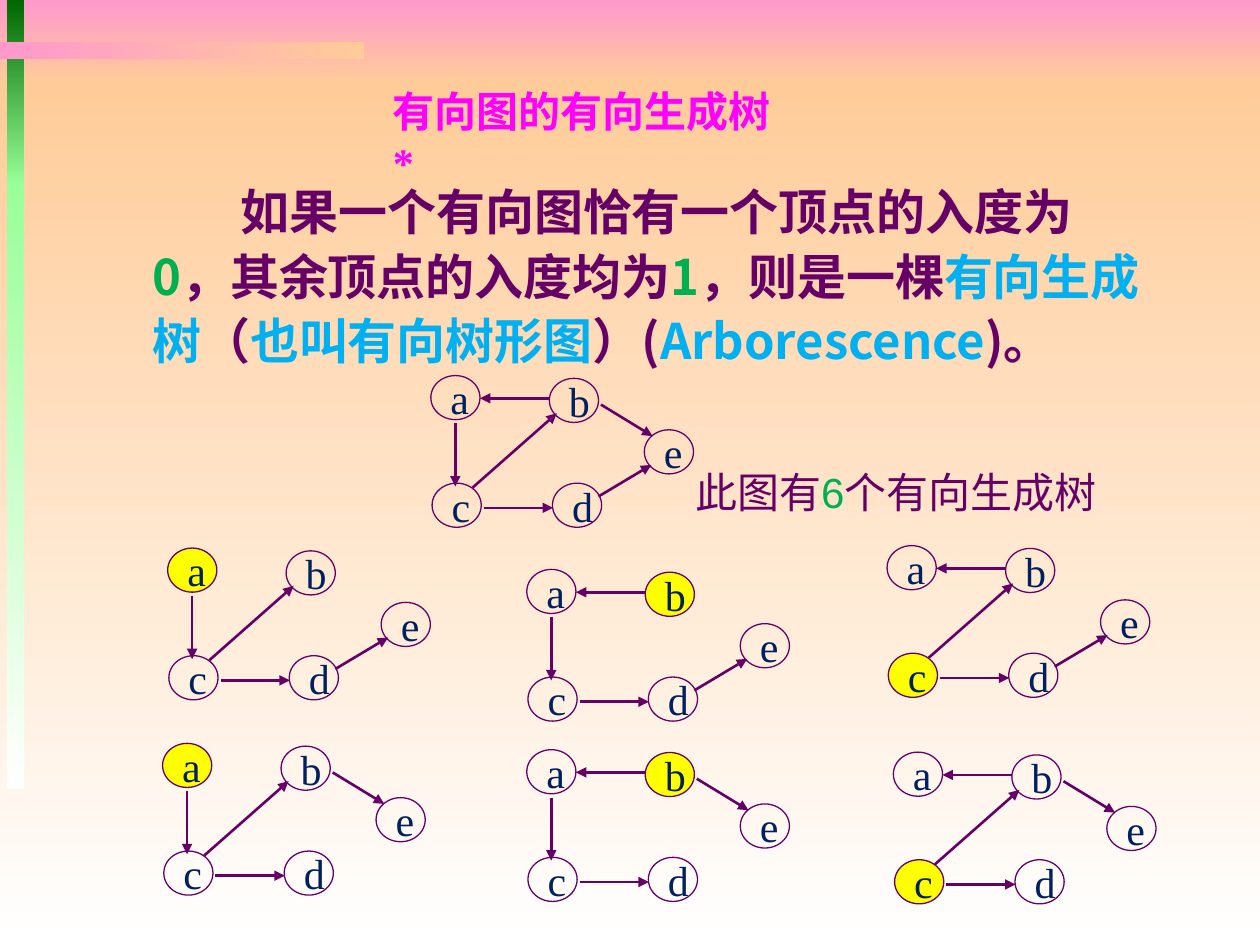
"""Build a slide on the spanning arborescences of a directed graph."""
from lxml import etree
from pptx import Presentation
from pptx.dml.color import RGBColor
from pptx.enum.shapes import MSO_CONNECTOR, MSO_SHAPE
from pptx.enum.text import MSO_ANCHOR, PP_ALIGN
from pptx.oxml.ns import qn
from pptx.util import Pt

RECTANGLE = MSO_SHAPE.RECTANGLE
OVAL = MSO_SHAPE.OVAL
STRAIGHT = MSO_CONNECTOR.STRAIGHT
MIDDLE = MSO_ANCHOR.MIDDLE
LEFT = PP_ALIGN.LEFT

PINK = RGBColor(0xFF, 0x99, 0xCC)
PEACH = RGBColor(0xFF, 0xCC, 0x99)
WHITE = RGBColor(0xFF, 0xFF, 0xFF)
DARK_GREEN = RGBColor(0x00, 0x66, 0x00)
LIGHT_GREEN = RGBColor(0x99, 0xFF, 0x99)
PURPLE = RGBColor(0x66, 0x00, 0x66)
MAGENTA = RGBColor(0xFF, 0x00, 0xFF)
NAVY = RGBColor(0x00, 0x20, 0x60)
GREEN = RGBColor(0x00, 0xB0, 0x50)
SKY = RGBColor(0x00, 0xB0, 0xF0)
YELLOW = RGBColor(0xFF, 0xFF, 0x00)

SERIF = "Times New Roman"
SANS = "Arial"
CJK = "Noto Sans CJK SC"

DOWN, ACROSS = 270, 0
NODE_WIDTH, NODE_HEIGHT = 28.1, 25.2
NODES = {"a": (0, 0), "b": (67.7, 1.6), "c": (0.7, 61.5), "d": (69.5, 61.5), "e": (122, 31)}
EDGES = {
    "ac": (14, 27.4, 14, 63.4),
    "ba": (67.7, 13, 28.1, 13),
    "cd": (30.2, 75.6, 69.8, 75.6),
    "cb": (23.8, 64.1, 72, 21.6),
    "de": (95.8, 69.1, 126, 51.1),
    "be": (97.2, 16.6, 126.7, 34.6),
}
TREES = [
    (95.8, 313.2, "a", ("ac", "cd", "cb", "de")),
    (92.9, 424.8, "a", ("ac", "cd", "cb", "be")),
    (301, 325.4, "b", ("ac", "ba", "cd", "de")),
    (301, 428.4, "b", ("ac", "ba", "cd", "be")),
    (506.9, 311.8, "c", ("ba", "cd", "cb", "de")),
    (510.5, 429.8, "c", ("ba", "cd", "cb", "be")),
]
BANDS = [
    (0, 0, 720, 48, PINK, PEACH, DOWN),
    (0, 48, 720, 492, PEACH, WHITE, DOWN),
    (4, 0, 10, 106, DARK_GREEN, LIGHT_GREEN, DOWN),
    (4, 105, 10, 346, LIGHT_GREEN, WHITE, DOWN),
    (0, 24, 208, 10, PINK, PEACH, ACROSS),
]
DEFINITION = [
    ("如果一个有向图恰有一个顶点的入度为", PURPLE),
    ("0", GREEN),
    ("，其余顶点的入度均为", PURPLE),
    ("1", GREEN),
    ("，则是一棵", PURPLE),
    ("有向生成树", SKY),
    ("（", PURPLE),
    ("也叫有向树形图", SKY),
    ("）(", PURPLE),
    ("Arborescence", SKY),
    (")。", PURPLE),
]


class GraphSlide:
    """Holds the slide and draws its elements in one style."""

    def __init__(self, slide):
        self.shapes = slide.shapes

    def band(self, left, top, width, height, start, end, angle):
        """Add a rectangle with a two-colour gradient."""
        band = self.shapes.add_shape(RECTANGLE, Pt(left), Pt(top), Pt(width), Pt(height))
        band.shadow.inherit = False
        band.line.fill.background()
        band.fill.gradient()
        band.fill.gradient_angle = angle
        for stop, color in zip(band.fill.gradient_stops, (start, end)):
            stop.color.rgb = color

    def style(self, run, font, size, color, bold=False):
        """Format one run."""
        run.font.name = font
        run.font.size = Pt(size)
        run.font.color.rgb = color
        run.font.bold = bold

    def text(self, left, top, width, height, pieces, font, size, bold=False):
        """Add a wrapping text box of coloured pieces and return its frame."""
        box = self.shapes.add_textbox(Pt(left), Pt(top), Pt(width), Pt(height))
        frame = box.text_frame
        frame.word_wrap = True
        for words, color in pieces:
            run = frame.paragraphs[0].add_run()
            run.text = words
            self.style(run, font, size, color, bold)
        return frame

    def node(self, left, top, label, is_root):
        """Add a labelled vertex, filled if it is the root."""
        node = self.shapes.add_shape(OVAL, Pt(left), Pt(top), Pt(NODE_WIDTH), Pt(NODE_HEIGHT))
        node.shadow.inherit = False
        node.line.color.rgb = PURPLE
        node.line.width = Pt(0.75)
        if is_root:
            node.fill.solid()
            node.fill.fore_color.rgb = YELLOW
        else:
            node.fill.background()
        frame = node.text_frame
        frame.word_wrap = False
        frame.vertical_anchor = MIDDLE
        frame.text = label
        frame.paragraphs[0].alignment = LEFT
        self.style(frame.paragraphs[0].runs[0], SERIF, 24, NAVY)

    def arrow(self, x1, y1, x2, y2):
        """Add a directed edge."""
        edge = self.shapes.add_connector(STRAIGHT, Pt(x1), Pt(y1), Pt(x2), Pt(y2))
        edge.line.color.rgb = PURPLE
        edge.line.width = Pt(1.5)
        etree.SubElement(edge.line._get_or_add_ln(), qn("a:tailEnd"), type="triangle")
        etree.SubElement(edge._element.spPr, qn("a:effectLst"))

    def graph(self, left, top, root, edges):
        """Add the five vertices and the chosen edges."""
        for label, (dx, dy) in NODES.items():
            self.node(left + dx, top + dy, label, label == root)
        for name in edges:
            x1, y1, x2, y2 = EDGES[name]
            self.arrow(left + x1, top + y1, left + x2, top + y2)


def main():
    """Build and save the slide."""
    deck = Presentation()
    deck.slide_width, deck.slide_height = Pt(720), Pt(540)
    page = GraphSlide(deck.slides.add_slide(deck.slide_layouts[6]))
    for band in BANDS:
        page.band(*band)

    definition = page.text(80, 97.2, 581, 129.6, DEFINITION, CJK, 28, True)
    definition.paragraphs[0].line_spacing = Pt(36.8)
    definition.paragraphs[0]._p.get_or_add_pPr().set("indent", str(Pt(50.4)))

    page.graph(246.2, 214.6, None, EDGES)
    title = page.text(217.4, 45.4, 246.2, 36, [("有向图的有向生成树*", MAGENTA)], SERIF, 24, True)
    title.margin_right = Pt(14.4)
    for tree in TREES:
        page.graph(*tree)
    count = [("此图有", PURPLE), ("6", GREEN), ("个有向生成树", PURPLE)]
    page.text(390.2, 262.8, 271.4, 36, count, SANS, 24)
    deck.save("out.pptx")


if __name__ == "__main__":
    main()
